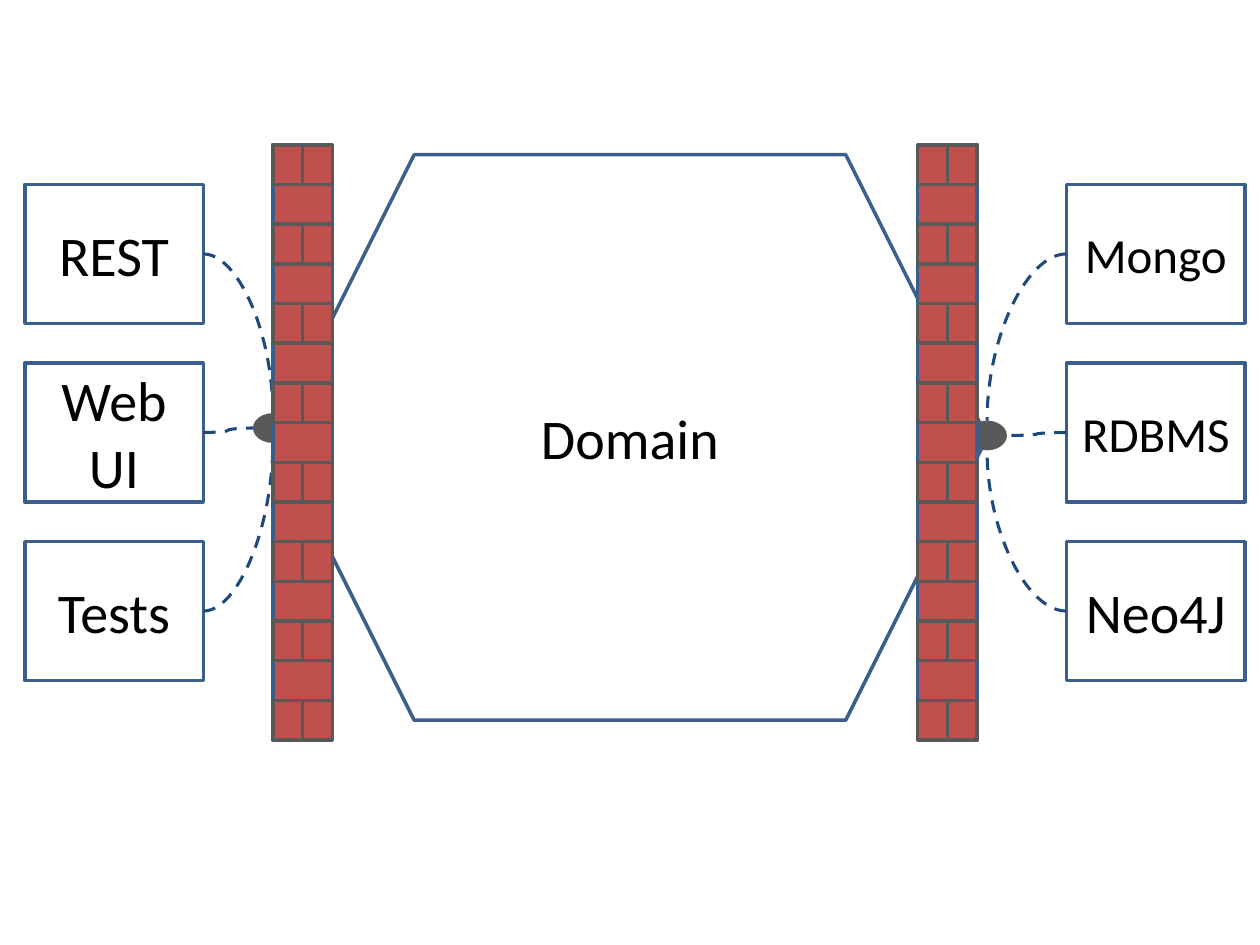
from lxml import etree
from pptx import Presentation
from pptx.dml.color import RGBColor
from pptx.enum.dml import MSO_LINE
from pptx.enum.shapes import MSO_CONNECTOR, MSO_SHAPE
from pptx.enum.text import MSO_ANCHOR, PP_ALIGN
from pptx.oxml.ns import qn
from pptx.util import Cm, Pt

RECT = MSO_SHAPE.RECTANGLE
HEXAGON = MSO_SHAPE.HEXAGON
ELLIPSE = MSO_SHAPE.OVAL
CURVE = MSO_CONNECTOR.CURVE
DASH = MSO_LINE.DASH
MIDDLE = MSO_ANCHOR.MIDDLE
CENTER = PP_ALIGN.CENTER

COLORS = {
    "paper": "FFFFFF",
    "border": "3A5F8C",
    "text": "000000",
    "link": "1F497D",
    "grey": "595959",
    "brick": "C0504D",
}
BOX_W, BOX_H, BOX_PITCH = 3.6, 2.8, 3.6
DOT_W, DOT_H = 0.8, 0.6
BRICK_W, BRICK_H, BRICK_ROWS = 0.6, 0.8, 15


def rgb(name):
    """Return the named colour."""
    return RGBColor.from_string(COLORS[name])


def add_text(sp, text, size=32, color="text", font="Calibri"):
    """Put centred text in a shape."""
    tf = sp.text_frame
    tf.word_wrap = True
    tf.vertical_anchor = MIDDLE
    p = tf.paragraphs[0]
    p.alignment = CENTER
    p.text = text
    for r in p.runs:
        r.font.size = Pt(size)
        r.font.name = font
        r.font.color.rgb = rgb(color)


def add_block(shapes, kind, x, y, w, h, fill="paper", line="border"):
    """Add a filled preset shape, outlined if a line colour is given."""
    sp = shapes.add_shape(kind, Cm(x), Cm(y), Cm(w), Cm(h))
    sp.shadow.inherit = False
    sp.fill.solid()
    sp.fill.fore_color.rgb = rgb(fill)
    if line:
        sp.line.color.rgb = rgb(line)
        sp.line.width = Pt(2)
    else:
        sp.line.fill.background()
    return sp


def add_link(shapes, start, end, preset):
    """Add a dashed curved connector between two points."""
    sp = shapes.add_connector(CURVE, *(Cm(v) for v in (*start, *end)))
    sp.line.color.rgb = rgb("link")
    sp.line.width = Pt(1.75)
    sp.line.dash_style = DASH
    props = sp._element.spPr
    props.find(qn("a:prstGeom")).set("prst", preset)
    etree.SubElement(props, qn("a:effectLst"))


def add_domain(shapes, x, y, w, h):
    """Add the central domain hexagon."""
    add_text(add_block(shapes, HEXAGON, x, y, w, h), "Domain")


def add_adapters(shapes, x, y, labels, dot_x, dot_y):
    """Add a column of adapters linked to one port on the wall."""
    add_block(shapes, ELLIPSE, dot_x, dot_y, DOT_W, DOT_H, "grey", None)
    on_left = x < dot_x
    edge_x = x + BOX_W if on_left else x
    mid_x, mid_y = dot_x + DOT_W / 2, dot_y + DOT_H / 2
    side_x = dot_x if on_left else dot_x + DOT_W
    ends = [
        ((mid_x, dot_y), "curvedConnector2"),
        ((side_x, mid_y), "curvedConnector3"),
        ((mid_x, dot_y + DOT_H), "curvedConnector2"),
    ]
    for i, ((text, size), (end, preset)) in enumerate(zip(labels, ends)):
        top = y + i * BOX_PITCH
        add_text(add_block(shapes, RECT, x, top, BOX_W, BOX_H), text, size=size)
        add_link(shapes, (edge_x, top + BOX_H / 2), end, preset)


def add_wall(shapes, x, y):
    """Add a grouped brick wall with every other row split in two."""
    wall = shapes.add_group_shape().shapes
    add_block(wall, RECT, x, y, 2 * BRICK_W, BRICK_ROWS * BRICK_H, "brick")
    for row in range(0, BRICK_ROWS, 2):
        for col in range(2):
            add_block(wall, RECT, x + col * BRICK_W, y + row * BRICK_H,
                      BRICK_W, BRICK_H, "brick", "grey")


def main():
    """Build the slide and save it."""
    prs = Presentation()
    prs.slide_width, prs.slide_height = Cm(25.4), Cm(19.05)
    shapes = prs.slides.add_slide(prs.slide_layouts[6]).shapes
    add_domain(shapes, 5.5, 3.12, 14.4, 11.4)
    add_adapters(shapes, 0.5, 3.72,
                 [("REST", 32), ("Web\vUI", 32), ("Tests", 32)], 5.1, 8.33)
    add_adapters(shapes, 21.5, 3.72,
                 [("Mongo", 28), ("RDBMS", 28), ("Neo4J", 32)], 19.5, 8.48)
    for x in (5.5, 18.5):
        add_wall(shapes, x, 2.92)
    prs.save("out.pptx")


if __name__ == "__main__":
    main()
